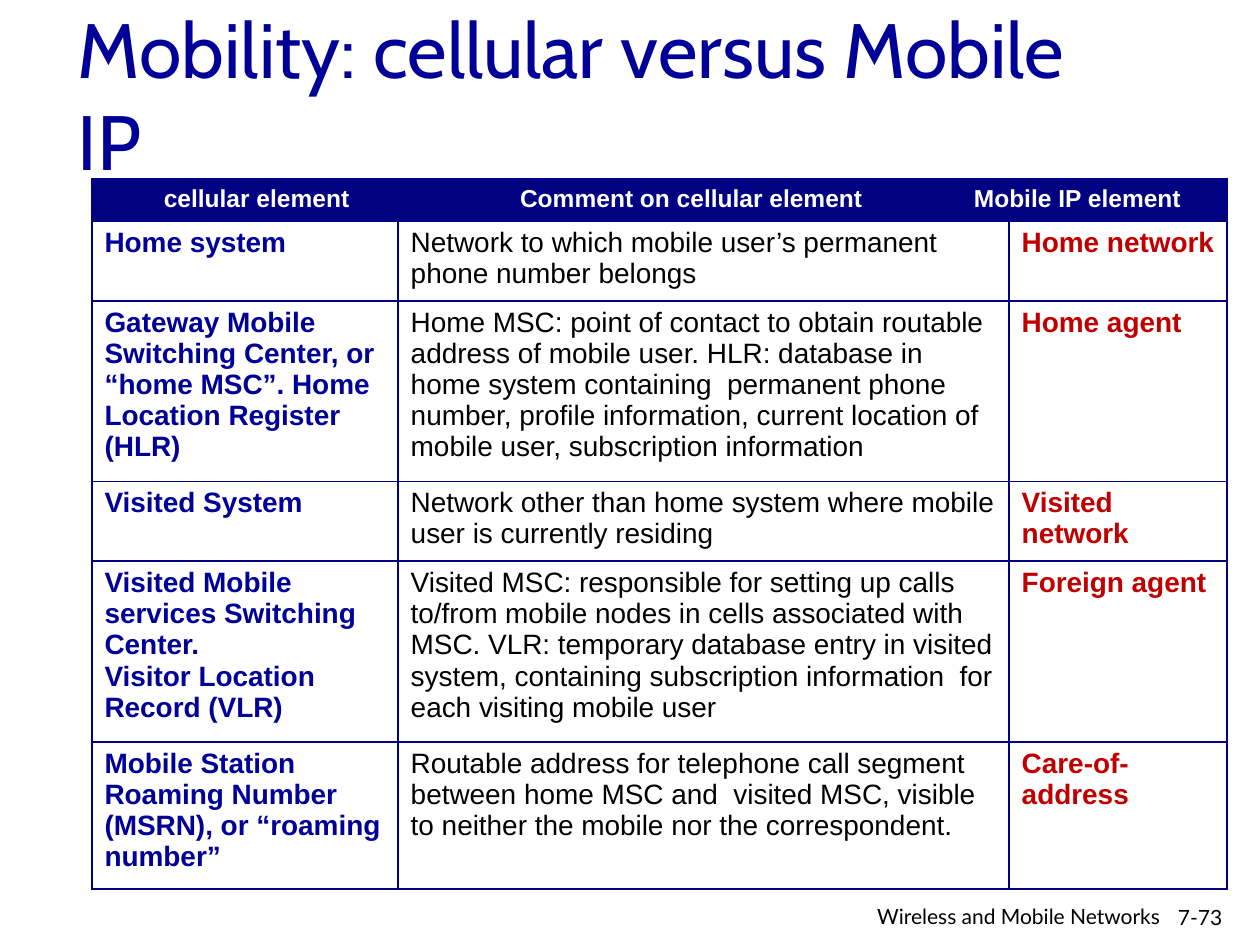
from lxml.etree import SubElement
from pptx import Presentation
from pptx.dml.color import RGBColor
from pptx.enum.text import MSO_ANCHOR, PP_ALIGN
from pptx.oxml.ns import qn
from pptx.util import Inches, Pt

COLORS = {
    "title": "000099",
    "cellular": "000099",
    "comment": "000000",
    "mobile_ip": "C00000",
    "header": "FFFFFF",
    "grid": "000080",
    "footer": "000000",
}
COLUMN_WIDTHS = [2.43, 0.2, 4.23, 0.38, 1.73]
ROW_HEIGHTS = [0.33, 0.63, 1.43, 0.63, 1.43, 1.17]

# First column, last column, text, alignment
HEADERS = [
    (0, 1, "cellular element ", PP_ALIGN.CENTER),
    (2, 2, "Comment on cellular element ", PP_ALIGN.CENTER),
    (3, 4, "Mobile IP element", PP_ALIGN.LEFT),
]
# First column, last column, colour, bold
BODY_COLUMNS = [
    (0, 0, "cellular", True),
    (1, 3, "comment", False),
    (4, 4, "mobile_ip", True),
]
ELEMENTS = [
    ("Home system",
     "Network to which mobile user’s permanent phone number belongs",
     "Home network"),
    ("Gateway Mobile Switching Center, or “home MSC”. Home Location Register (HLR)",
     "Home MSC: point of contact to obtain routable address of mobile user. "
     "HLR: database in home system containing  permanent phone number, profile "
     "information, current location of mobile user, subscription information",
     "Home agent"),
    ("Visited System",
     "Network other than home system where mobile user is currently residing",
     "Visited network"),
    ("Visited Mobile services Switching Center.\nVisitor Location Record (VLR)",
     "Visited MSC: responsible for setting up calls to/from mobile nodes in cells "
     "associated with MSC. VLR: temporary database entry in visited system, "
     "containing subscription information  for each visiting mobile user",
     "Foreign agent"),
    ("Mobile Station Roaming Number (MSRN), or “roaming number”",
     "Routable address for telephone call segment between home MSC and  visited "
     "MSC, visible to neither the mobile nor the correspondent.",
     "Care-of-address"),
]


def write(frame, text, font_name, size, color, bold=False, align=PP_ALIGN.LEFT):
    frame.text = text
    for paragraph in frame.paragraphs:
        paragraph.alignment = align
        paragraph.font.name = font_name
        paragraph.font.size = Pt(size)
        paragraph.font.bold = bold
        paragraph.font.color.rgb = RGBColor.from_string(COLORS[color])


def add_text(slide, box, text, font_name, size, color,
             align=PP_ALIGN.LEFT, anchor=MSO_ANCHOR.TOP):
    frame = slide.shapes.add_textbox(*map(Inches, box)).text_frame
    frame.word_wrap = True
    frame.vertical_anchor = anchor
    write(frame, text, font_name, size, color, align=align)


def style_cell(cell, is_header):
    """Draw the grid lines first: the schema wants them before the fill."""
    properties = cell._tc.get_or_add_tcPr()
    for side in ("lnL", "lnR", "lnT", "lnB"):
        line = SubElement(properties, qn(f"a:{side}"), w=str(Pt(1)))
        SubElement(SubElement(line, qn("a:solidFill")), qn("a:srgbClr"),
                   val=COLORS["grid"])
    if is_header:
        cell.fill.solid()
        cell.fill.fore_color.rgb = RGBColor.from_string(COLORS["grid"])
    else:
        cell.fill.background()


def merged_cell(table, row, first, last):
    cell = table.cell(row, first)
    if last > first:
        cell.merge(table.cell(row, last))
    return cell


def add_comparison(slide):
    table = slide.shapes.add_table(
        len(ROW_HEIGHTS), len(COLUMN_WIDTHS), Inches(0.73), Inches(1.42),
        Inches(sum(COLUMN_WIDTHS)), Inches(sum(ROW_HEIGHTS))).table
    for column, width in zip(table.columns, COLUMN_WIDTHS):
        column.width = Inches(width)
    for index, (row, height) in enumerate(zip(table.rows, ROW_HEIGHTS)):
        row.height = Inches(height)
        for cell in row.cells:
            style_cell(cell, is_header=index == 0)

    for first, last, text, align in HEADERS:
        cell = merged_cell(table, 0, first, last)
        write(cell.text_frame, text, "Arial", 14, "header", True, align)
    for row, element in enumerate(ELEMENTS, start=1):
        for (first, last, color, bold), text in zip(BODY_COLUMNS, element):
            cell = merged_cell(table, row, first, last)
            write(cell.text_frame, text, "Arial", 16, color, bold)


def main():
    prs = Presentation()
    prs.slide_width, prs.slide_height = Inches(10), Inches(7.5)
    slide = prs.slides.add_slide(prs.slide_layouts[6])
    add_text(slide, (0.52, 0.12, 8.5, 1.25), "Mobility: cellular versus Mobile IP",
             "Cabin", 44, "title", anchor=MSO_ANCHOR.MIDDLE)
    add_comparison(slide)
    add_text(slide, (9.25, 7.13, 0.75, 0.3), "7-73", "Lato", 12, "footer")
    add_text(slide, (6.4, 7.12, 2.95, 0.28), "Wireless and Mobile Networks ",
             "Lato", 12, "footer", align=PP_ALIGN.RIGHT)
    prs.save("out.pptx")


if __name__ == "__main__":
    main()
